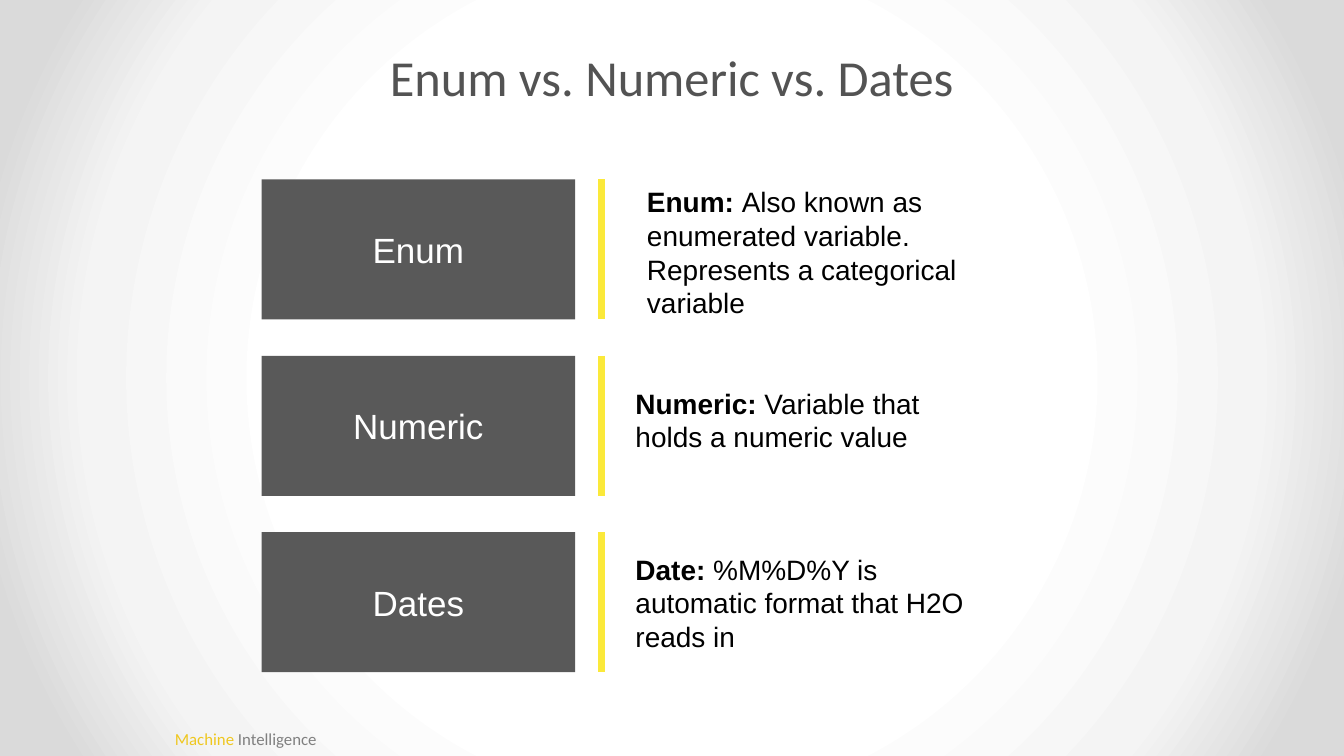
from dataclasses import dataclass

from lxml.etree import SubElement
from pptx import Presentation
from pptx.dml.color import RGBColor
from pptx.enum.shapes import MSO_CONNECTOR, MSO_SHAPE
from pptx.enum.text import MSO_ANCHOR, MSO_AUTO_SIZE, PP_ALIGN
from pptx.oxml import parse_xml
from pptx.oxml.ns import nsdecls, qn
from pptx.util import Cm, Pt


@dataclass(frozen=True)
class Theme:
    heading_font: str = "Calibri"
    body_font: str = "Arial"
    title: str = "535353"
    box: str = "595959"
    rule: str = "FBE93A"
    gold: str = "EFC71F"
    grey: str = "7F7F7F"
    white: str = "FFFFFF"
    black: str = "000000"
    title_size: int = 72
    label_size: int = 50
    text_size: int = 40
    tagline_size: int = 24
    backdrop: tuple = ((0, "FFFFFF"), (50, "FFFFFF"), (76, "F4F4F4"),
                       (92, "DADADA"), (100, "DADADA"))


THEME = Theme()
ROW_TOP, ROW_PITCH, ROW_HEIGHT = 9.04, 8.89, 7.06
BOX_LEFT, BOX_WIDTH = 13.19, 15.8
RULE_X = 30.32
TEXT_WIDTH = 18.44
ROWS = (
    ("Enum", "Enum: ", "Also known as enumerated variable. Represents a categorical variable",
     32.36, 0.03, 7.29),
    ("Numeric", "Numeric: ", "Variable that holds a numeric value", 31.78, 1.28, 3.89),
    ("Dates", "Date: ", "%M%D%Y is automatic format that H2O reads in", 31.78, 0.76, 5.59),
)


def add_run(p, text, *, size, color, font=THEME.body_font, bold=False):
    r = p.add_run()
    r.text = text
    r.font.name = font
    r.font.size = Pt(size)
    r.font.bold = bold
    r.font.color.rgb = RGBColor.from_string(color)


def format_frame(tf, *, anchor=MSO_ANCHOR.TOP, inset=0.25):
    tf.word_wrap = True
    tf.auto_size = MSO_AUTO_SIZE.NONE
    tf.vertical_anchor = anchor
    tf.margin_left = tf.margin_right = tf.margin_top = tf.margin_bottom = Cm(inset)
    return tf.paragraphs[0]


def add_text(s, left, top, width, height, **frame):
    box = s.shapes.add_textbox(Cm(left), Cm(top), Cm(width), Cm(height))
    return format_frame(box.text_frame, **frame)


def set_backdrop(s):
    fill = s.background.fill
    fill.gradient()
    grad = s.background._cSld.find(".//" + qn("a:gradFill"))
    for child in list(grad):
        grad.remove(child)
    stops = SubElement(grad, qn("a:gsLst"))
    for pos, color in THEME.backdrop:
        stop = SubElement(stops, qn("a:gs"), pos=str(pos * 1000))
        SubElement(stop, qn("a:srgbClr"), val=color)
    grad.append(parse_xml(
        f'<a:path {nsdecls("a")} path="circle">'
        '<a:fillToRect l="50000" t="50000" r="50000" b="50000"/></a:path>'))


def add_title(s, text):
    sp = s.shapes.title
    sp.left, sp.top, sp.width, sp.height = Cm(11), Cm(1.42), Cm(45.72), Cm(4.45)
    p = format_frame(sp.text_frame, anchor=MSO_ANCHOR.BOTTOM, inset=0.5)
    p.alignment = PP_ALIGN.CENTER
    p.line_spacing = 1.07
    add_run(p, text, size=THEME.title_size, color=THEME.title, font=THEME.heading_font)


def add_label_box(s, top, text):
    sp = s.shapes.add_shape(MSO_SHAPE.RECTANGLE, Cm(BOX_LEFT), Cm(top),
                            Cm(BOX_WIDTH), Cm(ROW_HEIGHT))
    sp.shadow.inherit = False
    sp.fill.solid()
    sp.fill.fore_color.rgb = RGBColor.from_string(THEME.box)
    sp.line.fill.background()
    p = format_frame(sp.text_frame, anchor=MSO_ANCHOR.MIDDLE)
    p.alignment = PP_ALIGN.CENTER
    add_run(p, text, size=THEME.label_size, color=THEME.white)


def add_rule(s, top):
    line = s.shapes.add_connector(MSO_CONNECTOR.STRAIGHT, Cm(RULE_X), Cm(top),
                                  Cm(RULE_X), Cm(top + ROW_HEIGHT))
    line.line.color.rgb = RGBColor.from_string(THEME.rule)
    line.line.width = Pt(9)
    SubElement(line._element.spPr, qn("a:effectLst"))


def add_description(s, term, text, left, top, height):
    p = add_text(s, left, top, TEXT_WIDTH, height)
    add_run(p, term, size=THEME.text_size, color=THEME.black, bold=True)
    add_run(p, text, size=THEME.text_size, color=THEME.black)


def add_tagline(s):
    p = add_text(s, 8.56, 36.49, 40.34, 1.5, anchor=MSO_ANCHOR.MIDDLE)
    for text, color in (("Machine ", THEME.gold), ("Intelligence", THEME.grey)):
        add_run(p, text, size=THEME.tagline_size, color=color, font=THEME.heading_font)


def main():
    prs = Presentation()
    prs.slide_width, prs.slide_height = Cm(67.74), Cm(38.1)
    s = prs.slides.add_slide(prs.slide_layouts[5])
    set_backdrop(s)
    add_tagline(s)
    add_title(s, "Enum vs. Numeric vs. Dates")
    for i, (label, term, text, left, offset, height) in enumerate(ROWS):
        top = ROW_TOP + i * ROW_PITCH
        add_label_box(s, top, label)
        add_rule(s, top)
        add_description(s, term, text, left, top + offset, height)
    prs.save("out.pptx")


if __name__ == "__main__":
    main()
